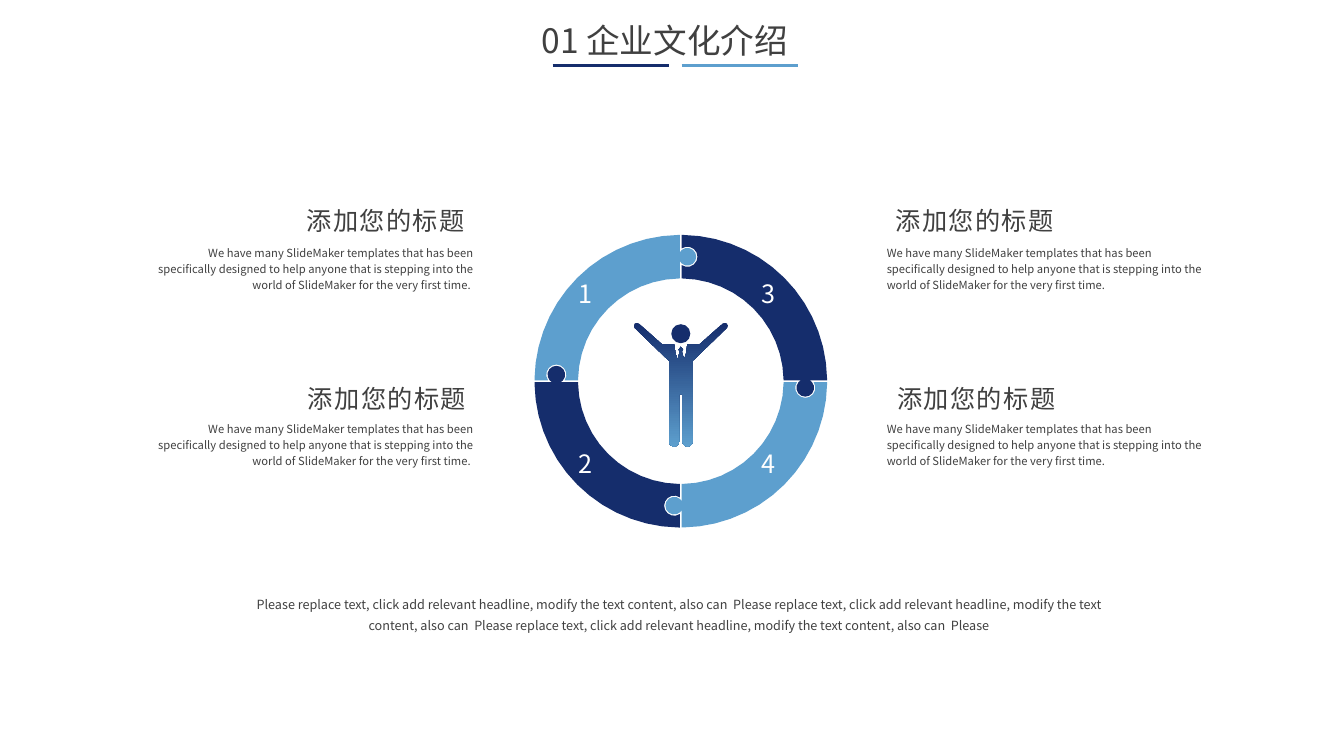
from dataclasses import dataclass
from math import cos, radians, sin

from lxml.etree import SubElement
from pptx import Presentation
from pptx.dml.color import RGBColor
from pptx.enum.shapes import MSO_CONNECTOR, MSO_SHAPE
from pptx.enum.text import MSO_AUTO_SIZE, PP_ALIGN
from pptx.oxml.ns import qn
from pptx.util import Pt


@dataclass(frozen=True)
class Theme:
    font: str = "Noto Sans CJK SC"
    navy: str = "152D6C"
    sky: str = "5D9FCE"
    ink: str = "404040"
    white: str = "FFFFFF"
    title_size: float = 24
    heading_size: float = 18
    footer_size: float = 9
    body_size: float = 8


def arc(center_x, center_y, radius, start, end, steps):
    """Points along an arc, angles in degrees, clockwise from the right."""
    angles = [radians(start + (end - start) * i / steps) for i in range(steps + 1)]
    return [(center_x + radius * cos(a), center_y + radius * sin(a)) for a in angles]


class PageBuilder:
    def __init__(self, page, theme):
        self.page = page
        self.theme = theme
        self.shapes = page.shapes

    def open_group(self):
        self.shapes = self.page.shapes.add_group_shape().shapes

    def close_group(self):
        self.shapes = self.page.shapes

    def text(self, words, left, top, width, height, size, color=None,
             align=PP_ALIGN.LEFT, inset=True, wrap=True, line_spacing=None, tracking=0):
        box = self.shapes.add_textbox(Pt(left), Pt(top), Pt(width), Pt(height))
        frame = box.text_frame
        frame.text = words
        frame.word_wrap = wrap
        frame.auto_size = MSO_AUTO_SIZE.SHAPE_TO_FIT_TEXT
        if not inset:
            frame.margin_left = frame.margin_right = 0
            frame.margin_top = frame.margin_bottom = 0
        para = frame.paragraphs[0]
        para.alignment = align
        if line_spacing:
            para.line_spacing = line_spacing
        span = para.runs[0]
        span.font.size = Pt(size)
        span.font.name = self.theme.font
        span.font.color.rgb = RGBColor.from_string(color or self.theme.ink)
        # East Asian font and letter spacing
        properties = span.font._element
        SubElement(properties, qn("a:ea"), typeface=self.theme.font)
        if tracking:
            properties.set("spc", str(tracking * 100))

    def paint(self, shape, color):
        shape.shadow.inherit = False
        shape.fill.solid()
        shape.fill.fore_color.rgb = RGBColor.from_string(color)
        shape.line.fill.background()

    def outline(self, points, color):
        corners = [(Pt(x), Pt(y)) for x, y in points]
        builder = self.shapes.build_freeform(*corners[0])
        builder.add_line_segments(corners[1:], close=True)
        shape = builder.convert_to_shape()
        self.paint(shape, color)
        return shape

    def disc(self, center_x, center_y, radius, color):
        shape = self.shapes.add_shape(
            MSO_SHAPE.OVAL, Pt(center_x - radius), Pt(center_y - radius),
            Pt(2 * radius), Pt(2 * radius))
        self.paint(shape, color)

    def fade(self, shape, top_color, bottom_color):
        shape.fill.gradient()
        shape.fill.gradient_angle = 270
        for stop, color in zip(shape.fill.gradient_stops, (top_color, bottom_color)):
            stop.color.rgb = RGBColor.from_string(color)

    def rule(self, left, top, length, color):
        line = self.shapes.add_connector(
            MSO_CONNECTOR.STRAIGHT, Pt(left), Pt(top), Pt(left + length), Pt(top))
        line.line.color.rgb = RGBColor.from_string(color)
        line.line.width = Pt(2)
        SubElement(line._element.spPr, qn("a:effectLst"))


CENTER_X, CENTER_Y = 486.3, 272.3
SAMPLE = ("We have many SlideMaker templates that has been specifically designed to help "
          "anyone that is stepping into the world of SlideMaker for the very first time.")
FOOTER = ("Please replace text, click add relevant headline, modify the text content, also can  "
          "Please replace text, click add relevant headline, modify the text content, also can  "
          "Please replace text, click add relevant headline, modify the text content, also can  "
          "Please")


def puzzle_piece():
    """Upper right quarter of the ring, relative to its centre."""
    outer, inner, gap = 104.5, 73.4, 0.6
    knob, depth = 88.9, 4.7
    return [
        (gap, -outer), *arc(0, 0, outer, -89, -1, 14), (outer, -gap),
        (knob + 3.2, -gap), *arc(knob, depth, 6.3, -41, 221, 10), (knob - 3.2, -gap),
        (inner, -gap), *arc(0, 0, inner, -1, -89, 12), (gap, -inner),
        *arc(depth, -knob, 7.2, 124, -124, 10),
    ]


def figure_half():
    """Right half of the figure, from tie to inner leg; x from the body axis."""
    return [
        (0, 247.7), (1.6, 249.8), (0.7, 251.3), (2.4, 257), (3.9, 252), (4.6, 246.2),
        (13.2, 246.2), *arc(31.4, 232.7, 2.2, -135, 45, 4), (8.4, 257.8),
        *arc(4.8, 315.4, 3.6, 0, 180, 6), (1.2, 281.5),
    ]


def main():
    deck = Presentation()
    deck.slide_width, deck.slide_height = Pt(960), Pt(540)
    theme = Theme()
    builder = PageBuilder(deck.slides.add_slide(deck.slide_layouts[6]), theme)

    # Puzzle ring: one piece turned by quarter turns
    builder.open_group()
    piece = puzzle_piece()
    for color in (theme.navy, theme.sky) * 2:
        builder.outline([(CENTER_X + x, CENTER_Y + y) for x, y in piece], color)
        piece = [(-y, x) for x, y in piece]

    # Figure in the middle
    builder.disc(CENTER_X, 238.4, 6.8, theme.navy)
    half = figure_half()
    body = [(CENTER_X + x, y) for x, y in half]
    body += [(CENTER_X - x, y) for x, y in reversed(half[1:])]
    builder.fade(builder.outline(body, theme.navy), theme.navy, theme.sky)

    # Piece numbers
    for top, numbers in ((195.3, "13"), (316.7, "24")):
        for left, number in zip((406.1, 536.8), numbers):
            builder.text(number, left, top, 24.5, 28.8, theme.heading_size,
                         color=theme.white, wrap=False)
    builder.close_group()

    # Texts and headings on both sides
    for body_left, align, words, heading_lefts in (
            (111.6, PP_ALIGN.RIGHT, SAMPLE + " ", (189.4, 190.5)),
            (633.4, PP_ALIGN.LEFT, SAMPLE, (610.2, 611.4))):
        for heading_left, heading_top, body_top in zip(
                heading_lefts, (143.3, 270.6), (174.2, 299.8)):
            builder.text(words, body_left, body_top, 226.8, 33.8, theme.body_size,
                         align=align, inset=False, line_spacing=1.2)
            builder.text("添加您的标题", heading_left, heading_top, 172, 28.8,
                         theme.heading_size, align=PP_ALIGN.CENTER, tracking=1)

    # Footer
    builder.text(FOOTER, 173, 422.2, 623.5, 28.8, theme.footer_size,
                 align=PP_ALIGN.CENTER, inset=False, line_spacing=Pt(15))

    # Title with two rules
    builder.open_group()
    builder.text("01 企业文化介绍", 379.7, 10.4, 207.4, 36, theme.title_size,
                 align=PP_ALIGN.JUSTIFY)
    for left, color in ((394.8, theme.navy), (486.9, theme.sky)):
        builder.rule(left, 46.8, 82.8, color)
    builder.close_group()

    deck.save("out.pptx")


if __name__ == "__main__":
    main()
